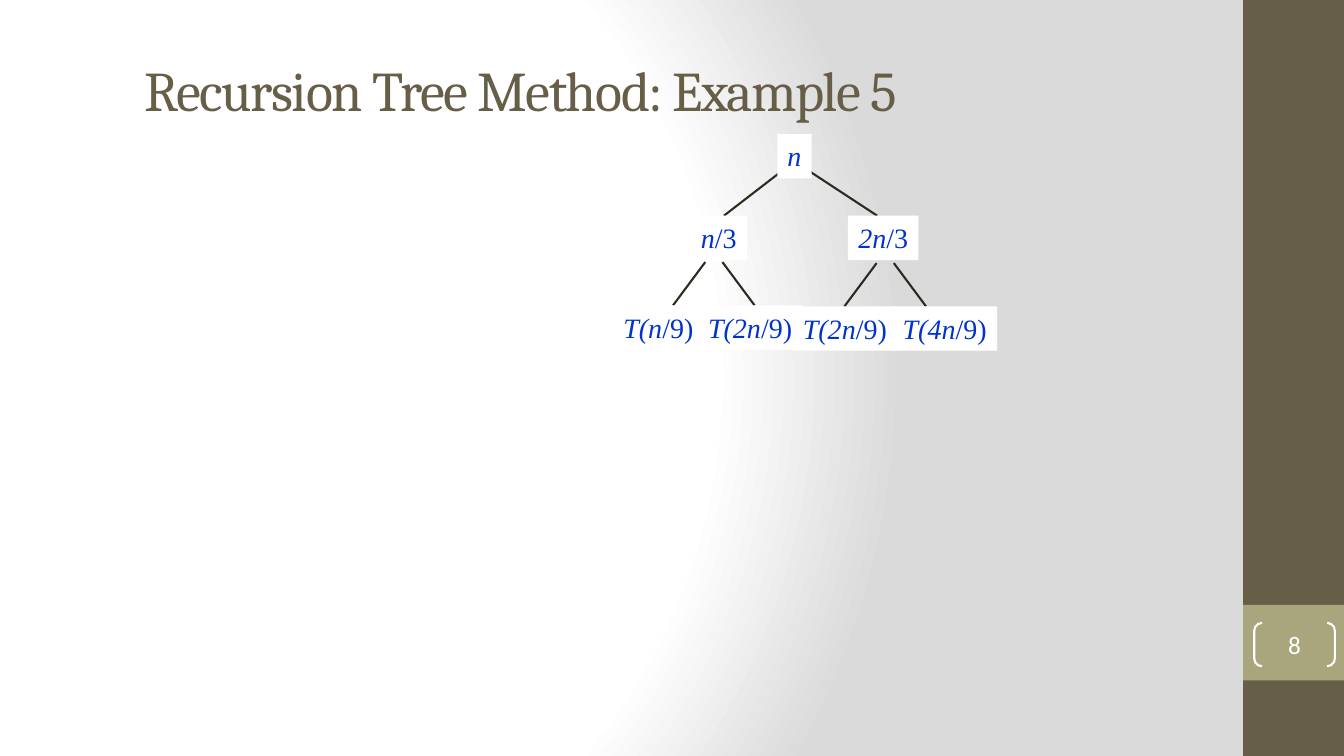
from lxml.etree import SubElement
from pptx import Presentation
from pptx.dml.color import RGBColor
from pptx.enum.shapes import MSO_CONNECTOR, MSO_SHAPE
from pptx.enum.text import MSO_ANCHOR, MSO_AUTO_SIZE, PP_ALIGN
from pptx.oxml.ns import qn
from pptx.util import Inches, Pt

# The slide is a grid of square cells, 13.33 columns by 7.5 rows.
CELL = Inches(1)
COLUMNS, ROWS = 13.33, 7.5
SIDEBAR_LEFT = 12.33

BROWN, SAND, WHITE = "675E47", "A9A57C", "FFFFFF"
INK, BLUE = "2F2B20", "0033CC"

NODE_HEIGHT = 0.44
# Each node: left, top, width, italic text, upright text.
NODES = [
    (7.71, 1.33, 0.34, "n", ""),
    (6.85, 2.14, 0.56, "n", "/3"),
    (8.41, 2.14, 0.7, "2n", "/3"),
    (6.08, 3.03, 0.9, "T(n", "/9)"),
    (6.92, 3.03, 1.04, "T(2n", "/9)"),
    (7.86, 3.04, 1.04, "T(2n", "/9)"),
    (8.85, 3.04, 1.04, "T(4n", "/9)"),
]
ROOT_BRANCHES = [((7.75, 1.7), (7.18, 2.14)), ((8.03, 1.7), (8.7, 2.14))]
# Each fork: middle, top.
FORKS = [(7.08, 2.6), (8.78, 2.61)]


def color(hex_code):
    return RGBColor.from_string(hex_code)


def cells(*lengths):
    return [round(length * CELL) for length in lengths]


def paint_background(slide):
    """Fill the background with a round gradient, white to grey."""
    slide.background.fill.gradient()
    gradient = slide.element.find(".//" + qn("a:gradFill"))
    for child in list(gradient):
        gradient.remove(child)
    stops = SubElement(gradient, qn("a:gsLst"))
    for position, hex_code in ((0, WHITE), (75, WHITE), (100, "DADADA")):
        stop = SubElement(stops, qn("a:gs"), pos=str(position * 1000))
        SubElement(stop, qn("a:srgbClr"), val=hex_code)
    circle = SubElement(gradient, qn("a:path"), path="circle")
    SubElement(circle, qn("a:fillToRect"), l="20000", t="50000", r="100000", b="50000")


def add_block(slide, kind, area, fill=None):
    block = slide.shapes.add_shape(kind, *cells(*area))
    block.shadow.inherit = False
    block.line.fill.background()
    if fill:
        block.fill.solid()
        block.fill.fore_color.rgb = color(fill)
    else:
        block.fill.background()
    return block


def add_span(para, text, font_name, size, hex_code, italic=False):
    span = para.add_run()
    span.text = text
    span.font.name = font_name
    span.font.size = Pt(size)
    span.font.italic = italic
    span.font.color.rgb = color(hex_code)
    return span


def set_title(slide, text):
    title = slide.shapes.title
    title.left, title.top, title.width, title.height = cells(1.33, 0.42, 9.9, 0.92)
    frame = title.text_frame
    frame.auto_size = MSO_AUTO_SIZE.NONE
    frame.vertical_anchor = MSO_ANCHOR.MIDDLE
    para = frame.paragraphs[0]
    para.alignment = PP_ALIGN.LEFT
    span = add_span(para, text, "Cambria", 40, BROWN)
    span.font._element.set("spc", "-100")


def add_page_number(slide, number):
    bracket = add_block(slide, MSO_SHAPE.DOUBLE_BRACKET, (12.44, 6.18, 0.8, 0.43))
    bracket.adjustments[0] = 0.18
    bracket.line.color.rgb = color(WHITE)
    bracket.line.width = Pt(1.5)
    frame = bracket.text_frame
    frame.margin_left = frame.margin_right = frame.margin_top = frame.margin_bottom = 0
    frame.vertical_anchor = MSO_ANCHOR.MIDDLE
    para = frame.paragraphs[0]
    para.alignment = PP_ALIGN.CENTER
    add_span(para, number, "Calibri", 18, WHITE)


def add_branch(slide, start, end):
    branch = slide.shapes.add_connector(MSO_CONNECTOR.STRAIGHT, *cells(*start, *end))
    branch.line.color.rgb = color(INK)
    branch.line.width = Pt(1.5)
    SubElement(branch._element.spPr, qn("a:effectLst"))


def add_fork(slide, middle, top):
    """Draw two mirrored branches that spread downwards."""
    for side in (-1, 1):
        add_branch(slide, (middle + side * 0.085, top), (middle + side * 0.405, top + 0.43))


def add_node(slide, left, top, width, italic_text, upright_text):
    node = add_block(slide, MSO_SHAPE.RECTANGLE, (left, top, width, NODE_HEIGHT), WHITE)
    frame = node.text_frame
    frame.word_wrap = False
    frame.auto_size = MSO_AUTO_SIZE.SHAPE_TO_FIT_TEXT
    frame.vertical_anchor = MSO_ANCHOR.TOP
    para = frame.paragraphs[0]
    para.alignment = PP_ALIGN.CENTER
    add_span(para, italic_text, "Times New Roman", 20, BLUE, italic=True)
    if upright_text:
        add_span(para, upright_text, "Times New Roman", 20, BLUE)


def main():
    deck = Presentation()
    deck.slide_width, deck.slide_height = cells(COLUMNS, ROWS)
    slide = deck.slides.add_slide(deck.slide_layouts[5])
    paint_background(slide)
    add_block(slide, MSO_SHAPE.RECTANGLE, (SIDEBAR_LEFT, 0, 1, ROWS), BROWN)
    add_block(slide, MSO_SHAPE.RECTANGLE, (SIDEBAR_LEFT, 6, 1, 0.75), SAND)
    set_title(slide, "Recursion Tree Method: Example 5")
    add_page_number(slide, "8")
    for start, end in ROOT_BRANCHES:
        add_branch(slide, start, end)
    for middle, top in FORKS:
        add_fork(slide, middle, top)
    for node in NODES:
        add_node(slide, *node)
    deck.save("out.pptx")


if __name__ == "__main__":
    main()
